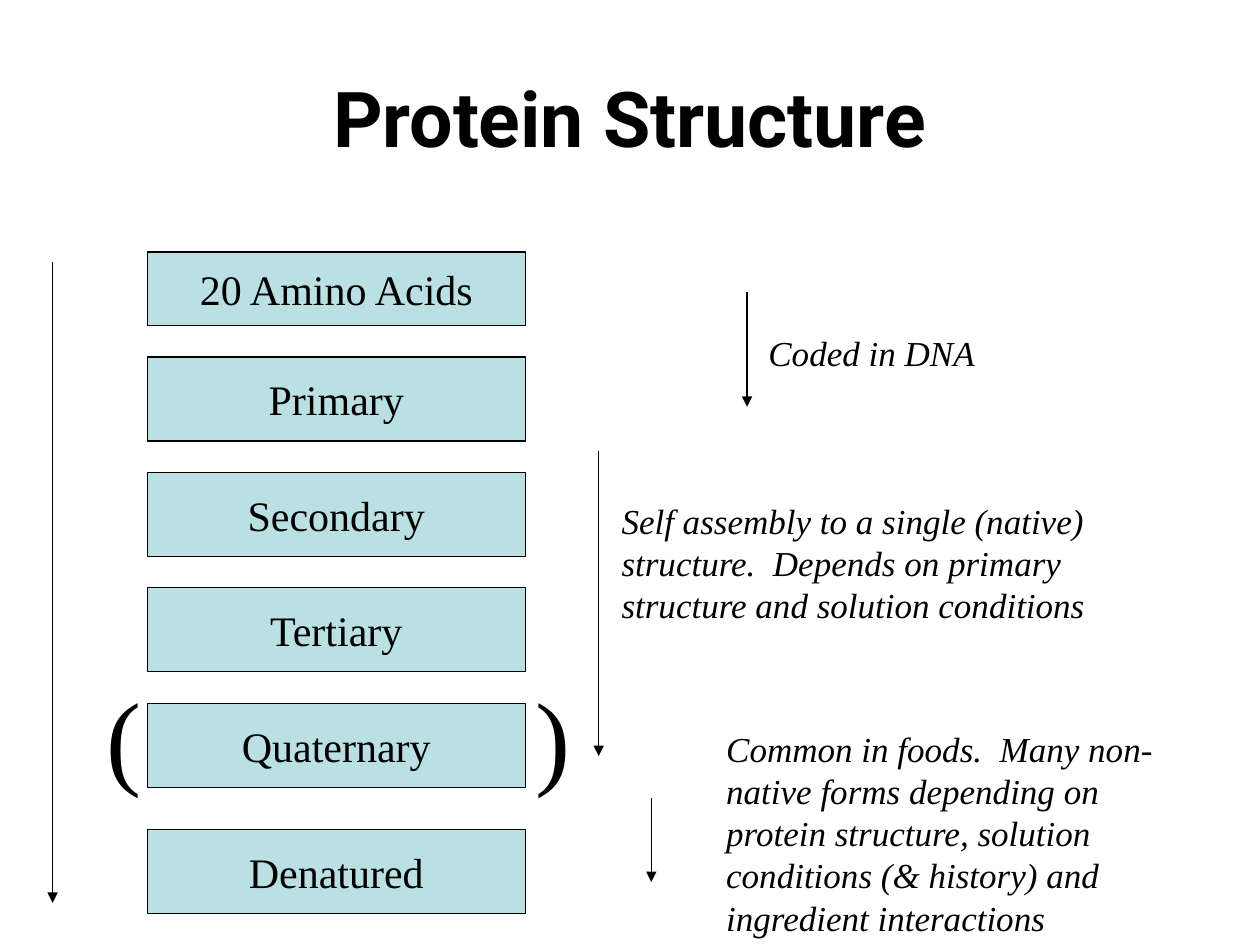
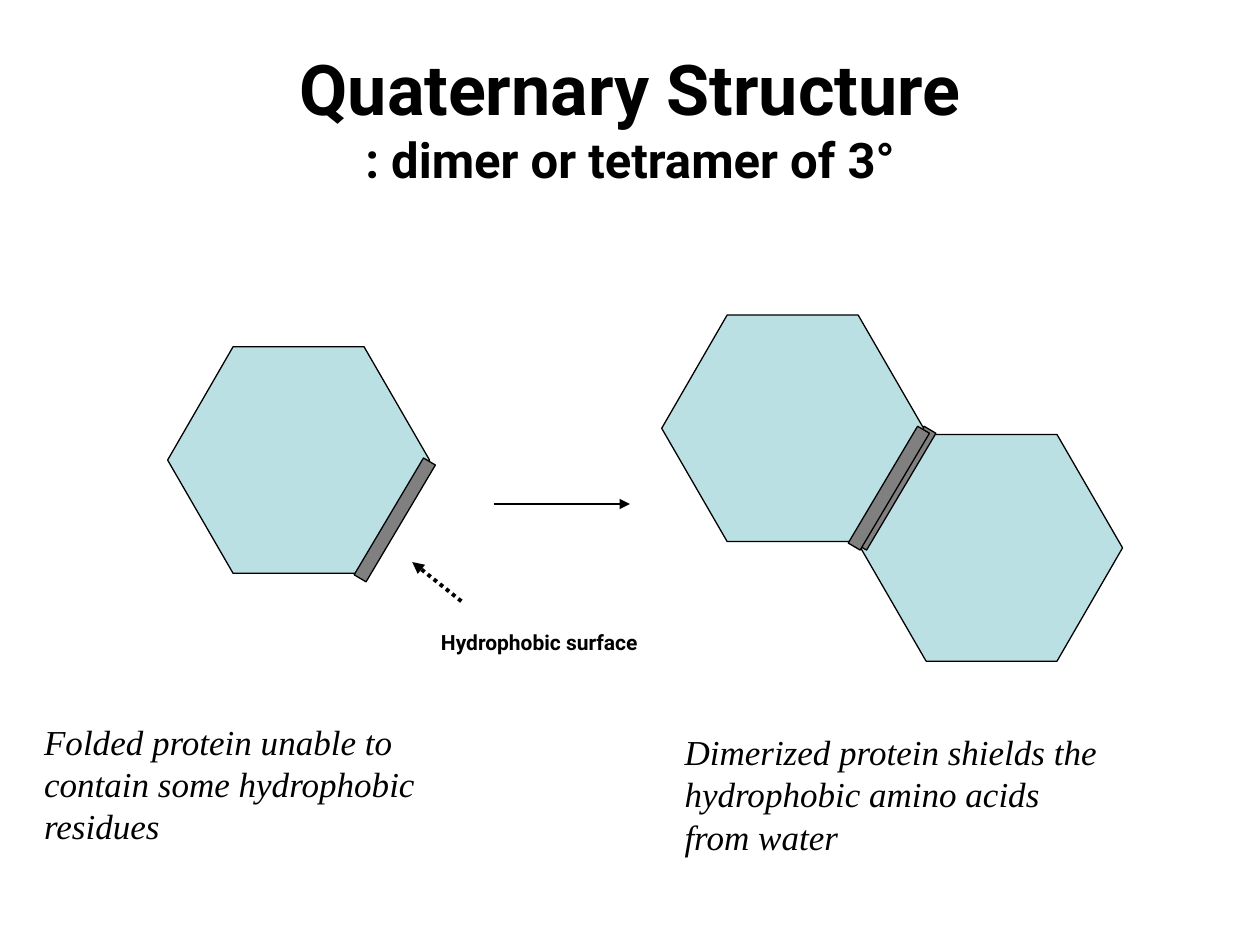
"""Build two slides on protein structure and its quaternary level."""
from lxml.etree import SubElement
from pptx import Presentation
from pptx.dml.color import RGBColor
from pptx.enum.dml import MSO_LINE
from pptx.enum.shapes import MSO_CONNECTOR, MSO_SHAPE
from pptx.enum.text import MSO_ANCHOR, MSO_AUTO_SIZE, PP_ALIGN
from pptx.oxml.ns import qn
from pptx.util import Cm, Pt

BLACK = RGBColor(0x00, 0x00, 0x00)
AQUA = RGBColor(0xBB, 0xE0, 0xE3)
GREY = RGBColor(0x80, 0x80, 0x80)
HEAD = "Roboto"
BODY = "Times New Roman"


def write(shape, text, face=BODY, size=20, bold=False, slant=False,
          align=PP_ALIGN.LEFT, anchor=MSO_ANCHOR.TOP, wrap=True):
    frame = shape.text_frame
    frame.word_wrap = wrap
    frame.vertical_anchor = anchor
    para = frame.paragraphs[0]
    para.alignment = align
    run = para.add_run()
    run.text = text
    run.font.name = face
    run.font.size = Pt(size)
    run.font.bold = bold
    run.font.italic = slant
    run.font.color.rgb = BLACK


def draw(shapes, kind, left, top, width, height, fill):
    shape = shapes.add_shape(kind, Cm(left), Cm(top), Cm(width), Cm(height))
    shape.shadow.inherit = False
    shape.fill.solid()
    shape.fill.fore_color.rgb = fill
    shape.line.color.rgb = BLACK
    shape.line.width = Pt(0.75)
    return shape


deck = Presentation()
deck.slide_width = Cm(25.4)
deck.slide_height = Cm(19.05)

titles = [
    [("Protein Structure", 44)],
    [("Quaternary Structure", 40), (": dimer or tetramer of 3°", 28)],
]
for lines in titles:
    slide = deck.slides.add_slide(deck.slide_layouts[6])
    title = slide.shapes.add_textbox(Cm(1.27), Cm(0.76), Cm(22.86), Cm(3.18))
    for row, (text, size) in enumerate(lines):
        if row:
            title.text_frame.paragraphs[0].add_line_break()
        write(title, text, face=HEAD, size=size, bold=True,
              align=PP_ALIGN.CENTER, anchor=MSO_ANCHOR.MIDDLE)
levels, dimer = deck.slides

steps = [
    ("20 Amino Acids", 5.08, 1.48),
    ("Primary", 7.2, 1.69),
    ("Secondary", 9.53, 1.69),
    ("Tertiary", 11.85, 1.69),
    ("Quaternary", 14.18, 1.69),
    ("Denatured", 16.72, 1.69),
]
for text, top, height in steps:
    step = draw(levels.shapes, MSO_SHAPE.RECTANGLE, 2.97, top, 7.62, height, AQUA)
    write(step, text, size=24, align=PP_ALIGN.CENTER,
          anchor=MSO_ANCHOR.MIDDLE, wrap=False)

hex_wide, hex_high = 5.28, 4.57
bar_wide, bar_high = 2.74, 0.28
units = [(3.38, 6.99, False), (17.35, 8.76, True), (13.34, 6.35, False)]
for left, top, turned in units:
    group = dimer.shapes.add_group_shape().shapes
    body = draw(group, MSO_SHAPE.HEXAGON, left, top, hex_wide, hex_high, AQUA)
    body.adjustments[0] = 0.289
    across, down = 3.21, 3.35
    if turned:
        across = hex_wide - bar_wide - across
        down = hex_high - bar_high - down
    bar = draw(group, MSO_SHAPE.RECTANGLE, left + across, top + down,
               bar_wide, bar_high, GREY)
    bar.rotation = 300.7

arrows = [
    (levels, 15.06, 5.89, 15.06, 8.2, 0.75, None),
    (levels, 12.07, 9.1, 12.07, 15.24, 0.75, None),
    (levels, 13.13, 16.09, 13.13, 17.78, 0.75, None),
    (levels, 1.06, 5.29, 1.06, 18.2, 0.75, None),
    (dimer, 9.95, 10.16, 12.7, 10.16, 0.75, None),
    (dimer, 9.3, 12.12, 8.31, 11.33, 2.25, MSO_LINE.ROUND_DOT),
]
for slide, x1, y1, x2, y2, width, dash in arrows:
    arrow = slide.shapes.add_connector(
        MSO_CONNECTOR.STRAIGHT, Cm(x1), Cm(y1), Cm(x2), Cm(y2))
    arrow.line.color.rgb = BLACK
    arrow.line.width = Pt(width)
    if dash:
        arrow.line.dash_style = dash
    SubElement(arrow.line._get_or_add_ln(), qn("a:tailEnd"), type="triangle")
    SubElement(arrow._element.spPr, qn("a:effectLst"))

note = dict(slant=True)
brace = dict(size=60, wrap=False)
label = dict(face=HEAD, size=12, bold=True, wrap=False)
texts = [
    (levels, "(", 1.9, 13.41, 1.21, 2.79, brace),
    (levels, ")", 10.55, 13.41, 1.21, 2.79, brace),
    (levels, "Coded in DNA", 15.24, 6.56, 4.67, 1.11, dict(slant=True, wrap=False)),
    (levels, "Self assembly to a single (native) structure.  Depends on primary "
     "structure and solution conditions", 12.28, 9.95, 11.63, 2.79, note),
    (levels, "Common in foods.  Many non-native forms depending on protein "
     "structure, solution conditions (& history) and ingredient interactions",
     14.39, 14.55, 10.21, 4.5, note),
    (dimer, "Folded protein unable to contain some hydrophobic residues",
     0.64, 14.39, 8.94, 2.79, note),
    (dimer, "Dimerized protein shields the hydrophobic amino acids from water",
     13.55, 14.61, 8.94, 2.79, note),
    (dimer, "Hydrophobic surface", 8.64, 12.57, 4.9, 0.76, label),
]
for slide, text, left, top, width, height, style in texts:
    box = slide.shapes.add_textbox(Cm(left), Cm(top), Cm(width), Cm(height))
    write(box, text, **style)
    box.text_frame.auto_size = MSO_AUTO_SIZE.SHAPE_TO_FIT_TEXT

deck.save("out.pptx")
